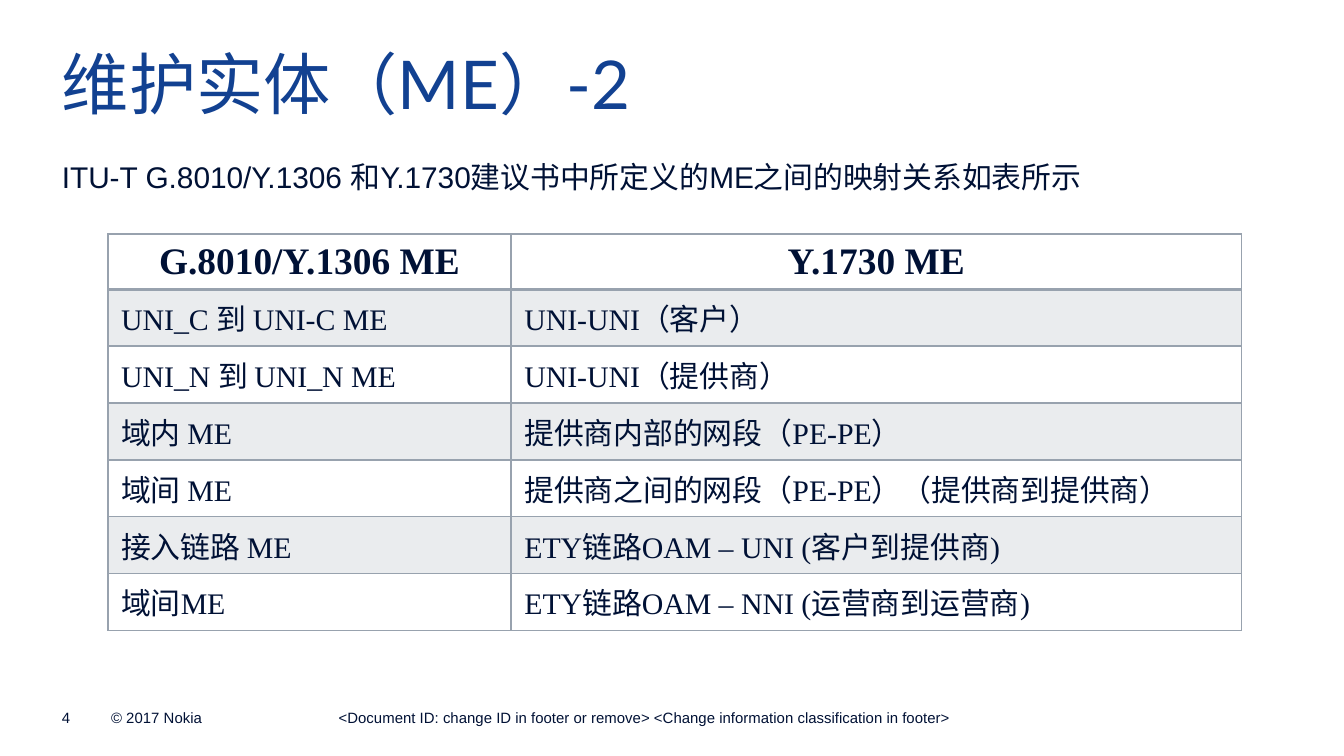
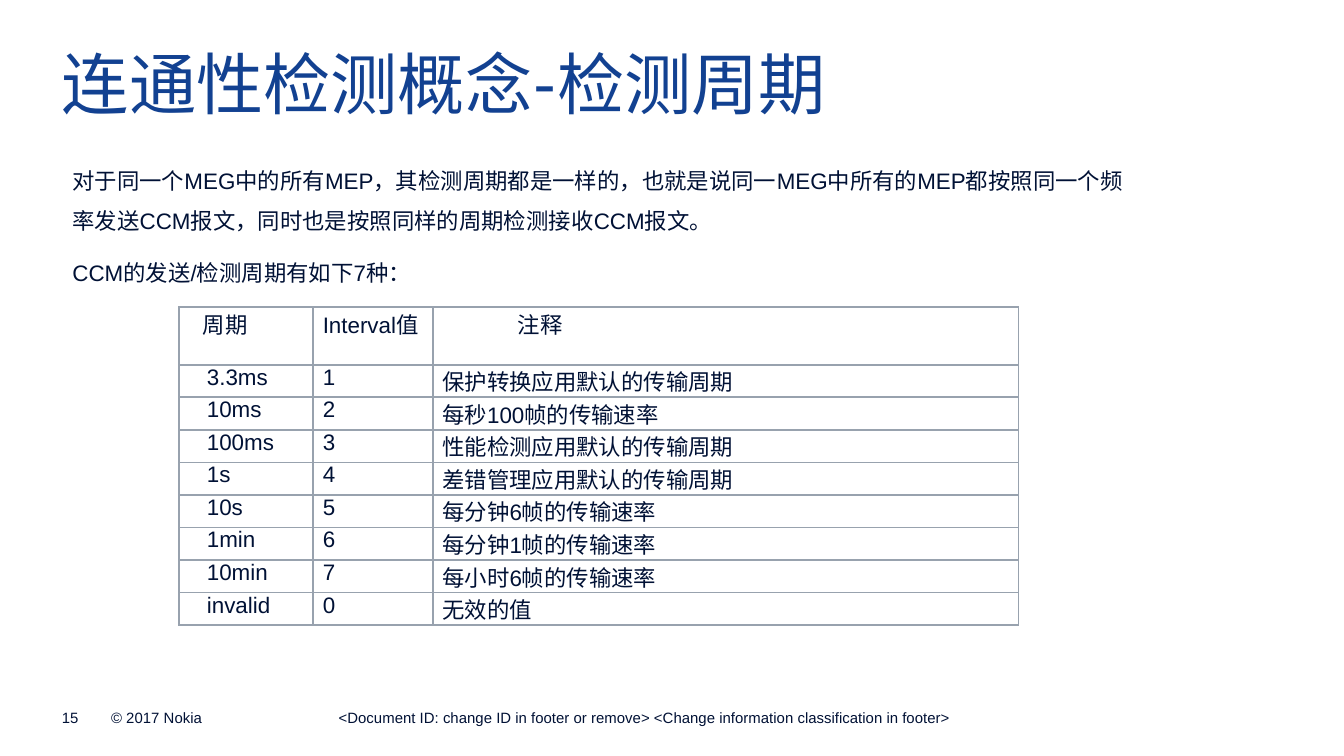
from lxml.etree import SubElement
from pptx import Presentation
from pptx.dml.color import RGBColor
from pptx.enum.text import MSO_ANCHOR, MSO_AUTO_SIZE, PP_ALIGN
from pptx.oxml.ns import qn
from pptx.util import Cm, Pt

THEME = {
    "ink": RGBColor.from_string("001135"),
    "grey": RGBColor.from_string("98A2AE"),
    "title": {"name": "Lato", "size": Pt(36), "bold": False,
              "color": RGBColor.from_string("124191")},
    "lead": {"name": "Arial", "size": Pt(16)},
    "body": {"name": "Arial", "size": Pt(12)},
    "footer": {"name": "Arial", "size": Pt(8)},
    "head_cell": {"name": "Times New Roman", "size": Pt(20), "bold": True},
    "cell": {"name": "Times New Roman", "size": Pt(16), "bold": False},
}
COPYRIGHT = "© 2017 Nokia"
DOCUMENT = ("<Document ID: change ID in footer or remove> "
            "<Change information classification in footer>")


def write(tf, lines, style, inset=0, anchor=MSO_ANCHOR.TOP, **para):
    """Fill a text frame with one paragraph per line."""
    frame = {"word_wrap": True, "auto_size": MSO_AUTO_SIZE.NONE,
             "vertical_anchor": anchor}
    for side in ("left", "top", "right", "bottom"):
        frame["margin_" + side] = Cm(inset)
    for name, value in frame.items():
        setattr(tf, name, value)
    for i, line in enumerate(lines):
        p = tf.paragraphs[0] if i == 0 else tf.add_paragraph()
        for name, value in para.items():
            setattr(p, name, value)
        r = p.add_run()
        r.text = line
        r.font.color.rgb = THEME[style].get("color", THEME["ink"])
        for name in ("name", "size", "bold"):
            setattr(r.font, name, THEME[style].get(name))


def add_grid(s, rows, left, top, widths, row_height, styles, margins, align,
             head_line=1, shaded=False, indents=None):
    """Add a ruled table; styles and align hold (header, body) values."""
    tbl = s.shapes.add_table(len(rows), len(widths), Cm(left), Cm(top),
                             Cm(sum(widths)), Cm(row_height * len(rows))).table
    tbl.first_row = tbl.horz_banding = False
    for col, width in zip(tbl.columns, widths):
        col.width = Cm(width)
    for i, row in enumerate(rows):
        part = min(i, 1)
        tbl.rows[i].height = Cm(row_height)
        for j, text in enumerate(row):
            cell = tbl.cell(i, j)
            for side, margin in zip(("left", "right", "top", "bottom"), margins):
                setattr(cell, "margin_" + side, Cm(margin))
            # Borders
            tcPr = cell._tc.get_or_add_tcPr()
            for side in "LRTB":
                width = head_line if i == 0 and side == "B" else 1
                ln = SubElement(tcPr, qn("a:ln" + side), w=str(Pt(width)))
                fill = SubElement(ln, qn("a:solidFill"))
                SubElement(fill, qn("a:srgbClr"), val=str(THEME["grey"]))
            # Fill
            if shaded and i % 2:
                cell.fill.solid()
                cell.fill.fore_color.rgb = THEME["grey"]
                color = tcPr.find(qn("a:solidFill")).find(qn("a:srgbClr"))
                SubElement(color, qn("a:alpha"), val="20000")
            else:
                cell.fill.background()
            # Text
            p = cell.text_frame.paragraphs[0]
            p.alignment = align[part]
            if indents:
                p._p.get_or_add_pPr().set("marL", str(Cm(indents[part][j])))
            r = p.add_run()
            r.text = text
            r.font.color.rgb = THEME["ink"]
            for name, value in THEME[styles[part]].items():
                setattr(r.font, name, value)


prs = Presentation()
prs.slide_width, prs.slide_height = Cm(25.4), Cm(14.28)

# Titles and footers
slides = []
for title, number in (("维护实体（ME）-2", "4"), ("连通性检测概念-检测周期", "15")):
    s = prs.slides.add_slide(prs.slide_layouts[5])
    sp = s.shapes.title
    sp.left, sp.top, sp.width, sp.height = Cm(1.17), Cm(0.79), Cm(23.1), Cm(1.47)
    write(sp.text_frame, [title], "title", alignment=PP_ALIGN.LEFT)
    for text, left, width in ((COPYRIGHT, 2.1, 5), (number, 1.17, 0.7),
                              (DOCUMENT, 6.4, 12.6)):
        sp = s.shapes.add_textbox(Cm(left), Cm(13.39), Cm(width), Cm(0.33))
        write(sp.text_frame, [text], "footer", anchor=MSO_ANCHOR.BOTTOM)
    slides.append(s)

# Slide 1: mapping of maintenance entities
s = slides[0]
sp = s.shapes.add_textbox(Cm(1.17), Cm(3), Cm(23.1), Cm(0.94))
write(sp.text_frame,
      ["ITU-T G.8010/Y.1306 和Y.1730建议书中所定义的ME之间的映射关系如表所示"],
      "lead", space_after=Pt(6))
entities = [
    ("G.8010/Y.1306 ME", "Y.1730 ME"),
    ("UNI_C 到 UNI-C ME", "UNI-UNI（客户）"),
    ("UNI_N 到 UNI_N ME", "UNI-UNI（提供商）"),
    ("域内 ME", "提供商内部的网段（PE-PE）"),
    ("域间 ME", "提供商之间的网段（PE-PE）（提供商到提供商）"),
    ("接入链路 ME", "ETY链路OAM – UNI (客户到提供商)"),
    ("域间ME", "ETY链路OAM – NNI (运营商到运营商)"),
]
add_grid(s, entities, 2.04, 4.42, (7.62, 13.8), 1.04, ("head_cell", "cell"),
         (0.25, 0.25, 0.13, 0.13), (PP_ALIGN.CENTER, PP_ALIGN.LEFT),
         head_line=2, shaded=True)

# Slide 2: detection periods
s = slides[1]
sp = s.shapes.add_textbox(Cm(1.17), Cm(2.7), Cm(20.3), Cm(3.84))
write(sp.text_frame,
      ["对于同一个MEG中的所有MEP，其检测周期都是一样的，也就是说同一MEG中所有的MEP"
       "都按照同一个频率发送CCM报文，同时也是按照同样的周期检测接收CCM报文。",
       "CCM的发送/检测周期有如下7种："],
      "body", inset=0.2, line_spacing=1.5, space_after=Pt(6))
periods = [
    ("周期", "Interval值", "注释"),
    ("3.3ms", "1", "保护转换应用默认的传输周期"),
    ("10ms", "2", "每秒100帧的传输速率"),
    ("100ms", "3", "性能检测应用默认的传输周期"),
    ("1s", "4", "差错管理应用默认的传输周期"),
    ("10s", "5", "每分钟6帧的传输速率"),
    ("1min", "6", "每分钟1帧的传输速率"),
    ("10min", "7", "每小时6帧的传输速率"),
    ("invalid", "0", "无效的值"),
]
add_grid(s, periods, 3.38, 5.8, (2.54, 2.26, 11.07), 0.6, ("body", "body"),
         (0.18, 0.18, 0, 0), (PP_ALIGN.JUSTIFY, PP_ALIGN.JUSTIFY),
         indents=((0.27, 0, 1.43), (0.35, 0, 0)))

prs.save("out.pptx")
